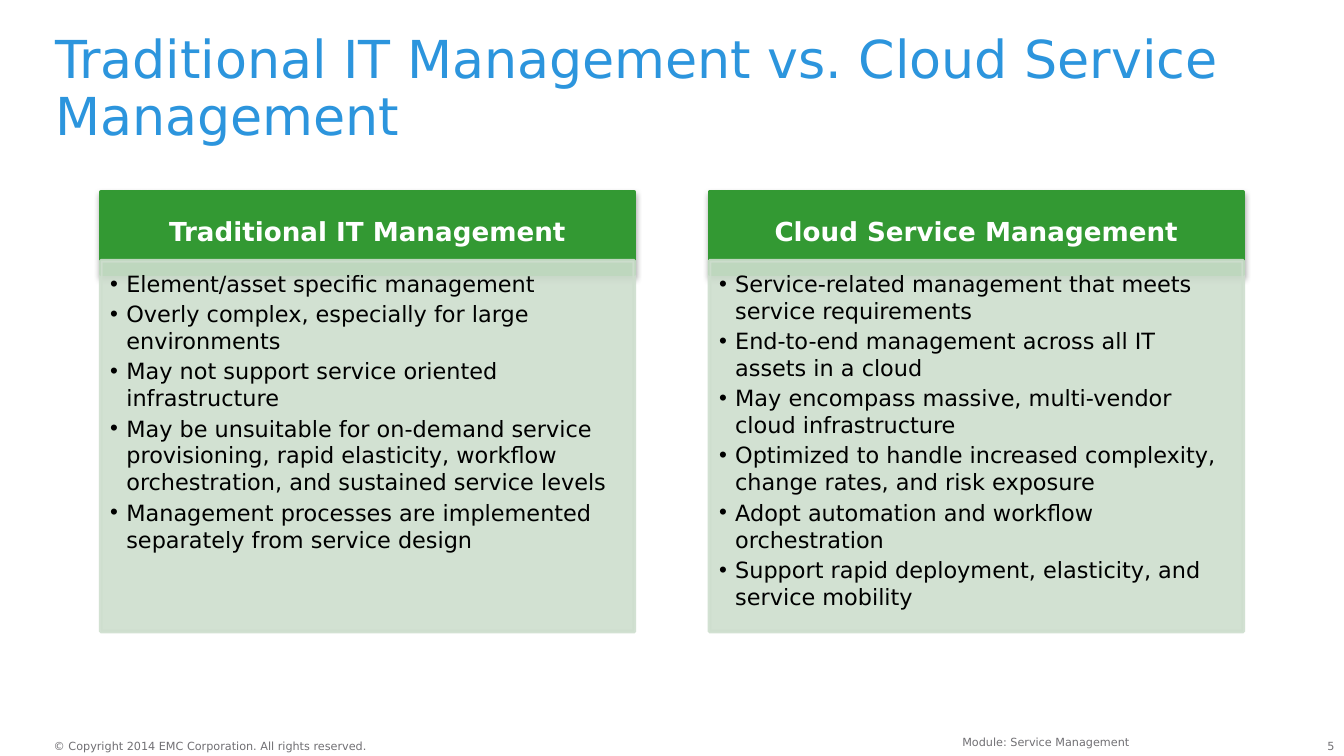
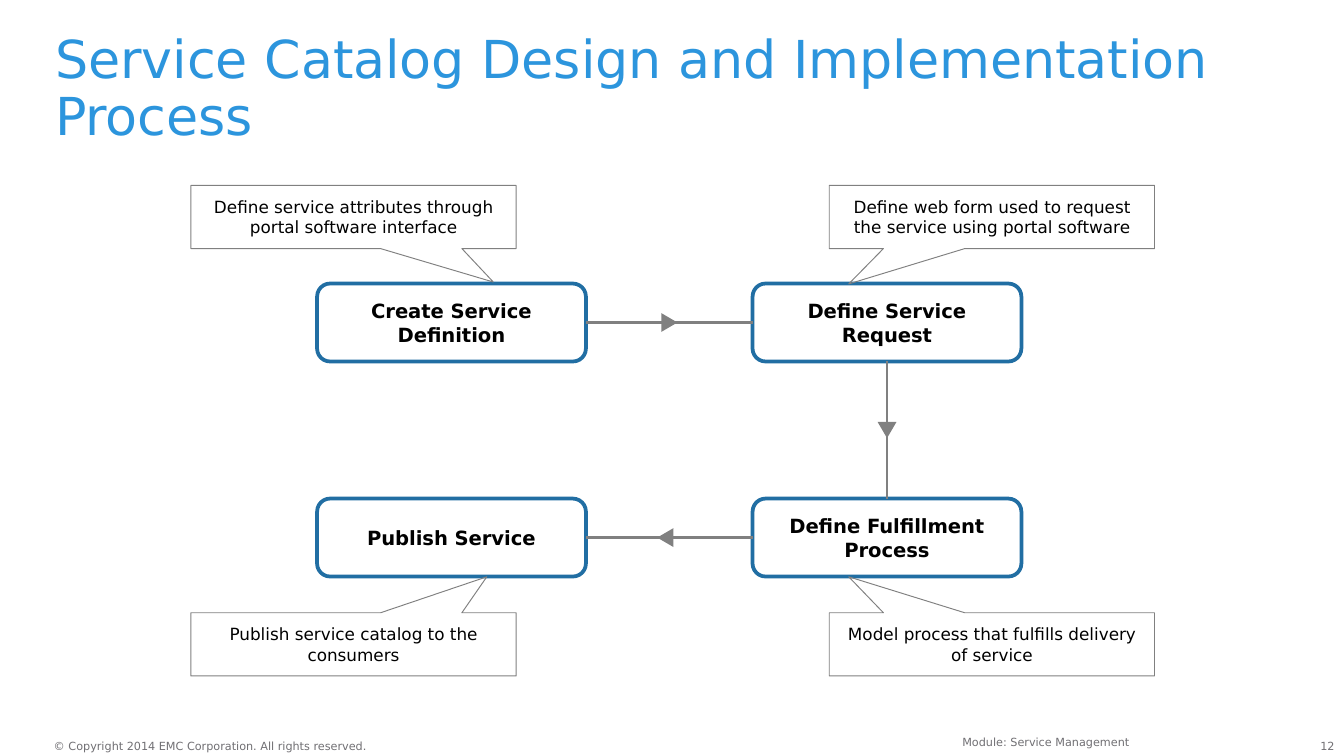
from dataclasses import dataclass

from lxml.etree import SubElement
from pptx import Presentation
from pptx.dml.color import RGBColor
from pptx.enum.shapes import MSO_CONNECTOR as Connector, MSO_SHAPE as Preset
from pptx.enum.text import MSO_ANCHOR as Anchor, MSO_AUTO_SIZE as AutoSize, PP_ALIGN as Align
from pptx.oxml.ns import qn
from pptx.util import Inches, Pt

FOOTERS = [
    ("© Copyright 2014 EMC Corporation. All rights reserved.", (0.4, 5.5, 2.37, 0.1), Align.LEFT, 0, 0),
    ("Module: Service Management", (2.83, 5.42, 5.67, 0.15), Align.RIGHT, 0.1, 0.05),
]
NUMBER_AREA = (9.62, 5.5, 0.31, 0.1)

COMPARISON = {
    "title": "Traditional IT Management vs. Cloud Service Management",
    "number": "5",
    "columns": [
        ("Traditional IT Management", [
            "Element/asset specific management",
            "Overly complex, especially for large environments",
            "May not support service oriented infrastructure",
            "May be unsuitable for on-demand service provisioning, rapid elasticity, "
            "workflow orchestration, and sustained service levels",
            "Management processes are implemented separately from service design",
        ]),
        ("Cloud Service Management", [
            "Service-related management that meets service requirements",
            "End-to-end management across all IT assets in a cloud",
            "May encompass massive, multi-vendor cloud infrastructure",
            "Optimized to handle increased complexity, change rates, and risk exposure",
            "Adopt automation and workflow orchestration",
            "Support rapid deployment, elasticity, and service mobility",
        ]),
    ],
}

PROCESS = {
    "title": "Service Catalog Design and Implementation Process",
    "number": "12",
    "steps": [
        ("Create Service Definition", (0, 0),
         "Define service attributes through portal software interface", (0.43, 1.03)),
        ("Define Service Request", (1, 0),
         "Define web form used to request the service using portal software", (-0.44, 1.06)),
        ("Define Fulfillment Process", (1, 1),
         "Model process that fulfills delivery of service", (-0.44, -1.07)),
        ("Publish Service", (0, 1),
         "Publish service catalog to the consumers", (0.41, -1.07)),
    ],
    "links": [(3, 1, 90, 0), (2, 0, 180, 0), (1, 3, 270, -0.03)],
}


@dataclass(frozen=True)
class Theme:
    font: str = "DejaVu Sans"
    title: str = "2C95DD"
    footer: str = "717074"
    heading: str = "339933"
    panel: str = "CEDECE"
    node: str = "216EA3"
    link: str = "808080"
    light: str = "FFFFFF"
    dark: str = "000000"
    title_size: float = 28
    heading_size: float = 14
    list_size: float = 12
    node_size: float = 10.5
    note_size: float = 9
    footer_size: float = 6


THEME = Theme()


def rgb(value):
    return RGBColor.from_string(value)


def apply(target, values):
    for name, value in values.items():
        setattr(target, name, value)


def place(box, area):
    apply(box, dict(zip(("left", "top", "width", "height"), map(Inches, area))))


def write(box, lines, size, color, align=Align.LEFT, bold=False, anchor=Anchor.TOP,
          insets=(0.1, 0.05, 0.1, 0.05), spacing=1.0, after=0, bullet=None):
    frame = box.text_frame
    apply(frame, {"word_wrap": True, "auto_size": AutoSize.NONE, "vertical_anchor": anchor})
    sides = ("margin_left", "margin_top", "margin_right", "margin_bottom")
    apply(frame, dict(zip(sides, map(Inches, insets))))
    for index, line in enumerate(lines):
        para = frame.add_paragraph() if index else frame.paragraphs[0]
        apply(para, {"alignment": align, "line_spacing": spacing,
                     "space_before": Pt(0), "space_after": Pt(after)})
        if bullet:
            props = para._p.get_or_add_pPr()
            props.set("marL", str(Inches(0.12)))
            props.set("indent", str(Inches(-0.12)))
            SubElement(props, qn("a:buChar"), char=bullet)
        span = para.add_run()
        span.text = line
        apply(span.font, {"name": THEME.font, "size": Pt(size), "bold": bold})
        span.font.color.rgb = rgb(color)


def paint(box, fill=None, line=None, width=0):
    if fill:
        box.fill.solid()
        box.fill.fore_color.rgb = rgb(fill)
    else:
        box.fill.background()
    if line:
        box.line.color.rgb = rgb(line)
        box.line.width = Pt(width)
    else:
        box.line.fill.background()


def set_alpha(element, percent):
    for color in element.iter(qn("a:srgbClr")):
        SubElement(color, qn("a:alpha"), val=str(percent * 1000))


def drop_shadow(box):
    effects = SubElement(box._element.spPr, qn("a:effectLst"))
    shadow = SubElement(effects, qn("a:outerShdw"), blurRad=str(Pt(3.1)),
                        dist=str(Pt(1.6)), dir="5400000", rotWithShape="0")
    SubElement(shadow, qn("a:srgbClr"), val=THEME.dark)
    set_alpha(shadow, 38)


def add_page(deck, layout, content):
    page = deck.slides.add_slide(deck.slide_layouts.get_by_name(layout))
    title = page.shapes.title
    place(title, (0.41, 0.25, 9.25, 0.5))
    write(title, [content["title"]], THEME.title_size, THEME.title, insets=(0, 0, 0, 0), spacing=0.9)
    number = (content["number"], NUMBER_AREA, Align.RIGHT, 0, 0)
    for text, area, align, side, edge in [*FOOTERS, number]:
        box = page.shapes.add_textbox(*map(Inches, area))
        write(box, [text], THEME.footer_size, THEME.footer, align, insets=(side, edge, side, edge))
    return page


def build_comparison(deck):
    page = add_page(deck, "Comparison", COMPARISON)
    bodies = list(page.placeholders)[1:]
    for column, (heading, points) in enumerate(COMPARISON["columns"]):
        left = 0.75 + column * 4.53
        header, panel = bodies[column * 2:column * 2 + 2]
        place(header, (left, 1.43, 3.97, 0.61))
        paint(header, THEME.heading, THEME.heading, 2)
        drop_shadow(header)
        write(header, [heading], THEME.heading_size, THEME.light, Align.CENTER, True,
              Anchor.MIDDLE, (0.11, 0.06, 0.11, 0.06), 0.9)
        place(panel, (left, 1.94, 3.97, 2.76))
        paint(panel, THEME.panel, THEME.panel, 2)
        set_alpha(panel._element.spPr, 90)
        write(panel, points, THEME.list_size, THEME.dark,
              insets=(0.07, 0.07, 0.09, 0.1), after=1.8, bullet="•")


def add_shape(page, preset, area):
    box = page.shapes.add_shape(preset, *map(Inches, area))
    box.shadow.inherit = False
    return box


def add_link(page, start, end, start_site, end_site, turn, shift):
    link = page.shapes.add_connector(Connector.STRAIGHT, 0, 0, 0, 0)
    link.begin_connect(start, start_site)
    link.end_connect(end, end_site)
    link.line.color.rgb = rgb(THEME.link)
    link.line.width = Pt(1.5)
    SubElement(link._element.spPr, qn("a:effectLst"))
    middle_x = (link.begin_x + link.end_x) / 2 / Inches(1) + shift
    middle_y = (link.begin_y + link.end_y) / 2 / Inches(1)
    marker = add_shape(page, Preset.ISOSCELES_TRIANGLE, (middle_x - 0.07, middle_y - 0.06, 0.14, 0.12))
    marker.rotation = turn
    paint(marker, THEME.link)


def build_process(deck):
    page = add_page(deck, "Title Only", PROCESS)
    nodes = []
    for name, (column, row), note, tip in PROCESS["steps"]:
        node = add_shape(page, Preset.ROUNDED_RECTANGLE, (2.36 + column * 3.24, 2.11 + row * 1.6, 2, 0.58))
        paint(node, THEME.light, THEME.node, 2)
        write(node, [name], THEME.node_size, THEME.dark, Align.CENTER, True, Anchor.MIDDLE)
        nodes.append(node)
        callout = add_shape(page, Preset.RECTANGULAR_CALLOUT,
                            (1.42 + column * 4.75, 1.38 + row * 3.18, 2.42, 0.47))
        callout.adjustments[0], callout.adjustments[1] = tip
        paint(callout, line=THEME.link, width=0.5)
        write(callout, [note], THEME.note_size, THEME.dark, Align.CENTER, anchor=Anchor.MIDDLE)
    for start, end, route in zip(nodes, nodes[1:], PROCESS["links"]):
        add_link(page, start, end, *route)


def main():
    deck = Presentation()
    width = Inches(10)
    apply(deck, {"slide_width": width, "slide_height": width * 9 // 16})
    build_comparison(deck)
    build_process(deck)
    deck.save("out.pptx")


if __name__ == "__main__":
    main()
